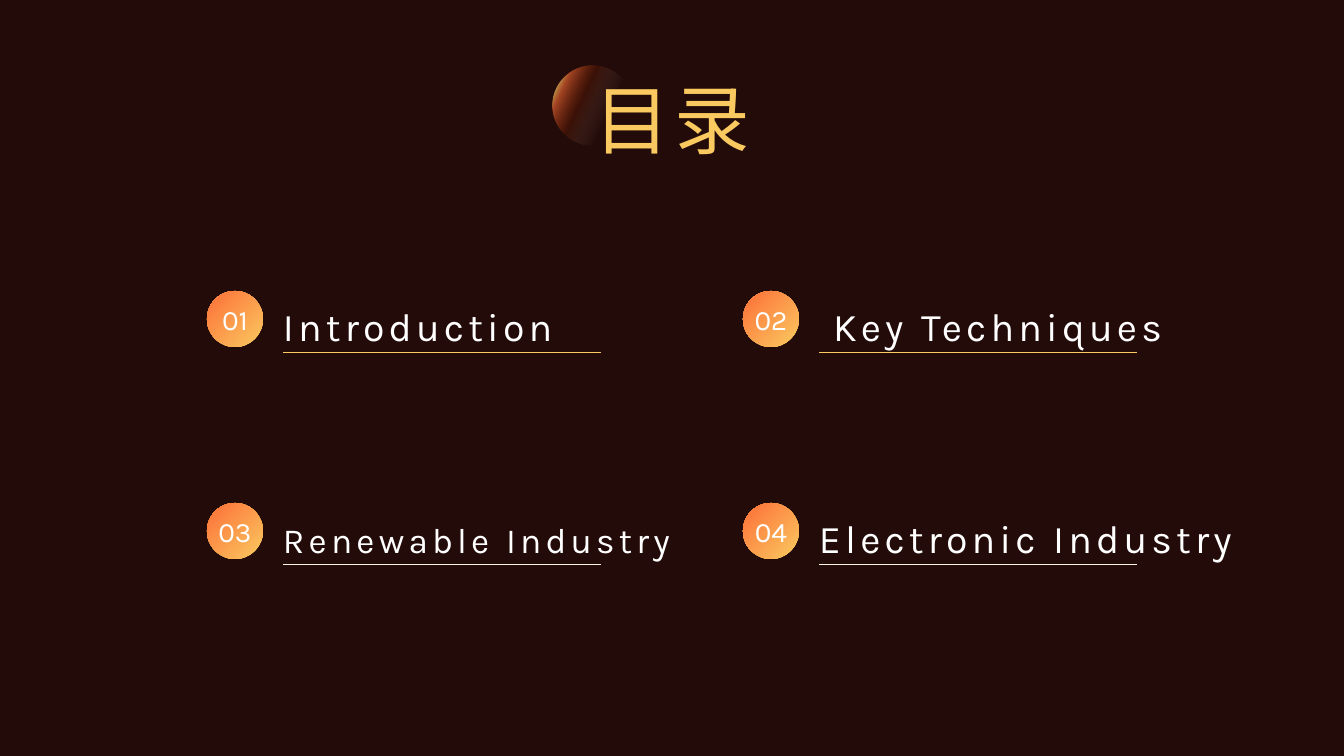
"""Builds a dark contents slide with four numbered topics in a two by two grid."""
from dataclasses import dataclass

from lxml import etree
from pptx import Presentation
from pptx.dml.color import RGBColor
from pptx.enum.shapes import MSO_CONNECTOR, MSO_SHAPE
from pptx.enum.text import MSO_ANCHOR, PP_ALIGN
from pptx.oxml.ns import qn
from pptx.util import Emu, Pt

OVAL = MSO_SHAPE.OVAL
STRAIGHT = MSO_CONNECTOR.STRAIGHT
MIDDLE, BOTTOM = MSO_ANCHOR.MIDDLE, MSO_ANCHOR.BOTTOM
LEFT, CENTER = PP_ALIGN.LEFT, PP_ALIGN.CENTER

DARK = RGBColor(0x23, 0x0B, 0x09)
GOLD = RGBColor(0xFA, 0xCA, 0x60)
ORANGE = RGBColor(0xFD, 0x6E, 0x38)
RUST = RGBColor(0x99, 0x2B, 0x02)
CREAM = RGBColor(0xFE, 0xF4, 0xDF)
WHITE = RGBColor(0xFF, 0xFF, 0xFF)

FONT = "Karla"
WIDE, HIGH = 1344, 756
SCALE = 12192000 / WIDE
COL_STEP, ROW_STEP = 536, 212


@dataclass(frozen=True)
class Stop:
    """One colour of a gradient, with position and opacity in percent."""
    pos: int
    color: RGBColor
    alpha: int = 100


@dataclass(frozen=True)
class Blend:
    """A linear gradient with a clockwise angle in degrees."""
    angle: int
    stops: tuple[Stop, ...]


@dataclass(frozen=True)
class Topic:
    """One entry of the contents grid."""
    label: str
    width: int
    size: float = 28
    indent: int = 0


FIRE = (Stop(0, GOLD), Stop(100, ORANGE))
TITLE = Blend(0, FIRE)
BADGE = Blend(225, FIRE)
LABEL = Blend(270, (Stop(0, WHITE), Stop(90, GOLD)))
MOON = Blend(25, (Stop(34, CREAM, 0), Stop(61, RUST, 20), Stop(82, ORANGE, 60),
                  Stop(88, GOLD, 70), Stop(100, GOLD, 70)))
RULES = (TITLE, Blend(0, (Stop(0, CREAM), Stop(100, ORANGE))))

TOPICS = (
    Topic("Introduction", 347),
    Topic("Key Techniques", 436, indent=14),
    Topic("Renewable Industry", 460, size=25.2),
    Topic("Electronic Industry", 504),
)


def px(count: int) -> Emu:
    """Turn whole pixels into EMU."""
    return Emu(round(count * SCALE))


def shade(fill, owner, blend: Blend) -> None:
    """Give a fill the gradient, writing its parts under the owner element."""
    fill.gradient()
    grad = owner.find(qn("a:gradFill"))
    for old in list(grad):
        grad.remove(old)
    stops = etree.SubElement(grad, qn("a:gsLst"))
    for stop in blend.stops:
        node = etree.SubElement(stops, qn("a:gs"), pos=str(stop.pos * 1000))
        color = etree.SubElement(node, qn("a:srgbClr"), val=str(stop.color))
        if stop.alpha < 100:
            etree.SubElement(color, qn("a:alpha"), val=str(stop.alpha * 1000))
    etree.SubElement(grad, qn("a:lin"), ang=str(blend.angle * 60000), scaled="0")


def write(shape, text: str, *, size: float, blend: Blend | None = None,
          space: int = 0, align=LEFT, anchor=MIDDLE, wrap: bool = True,
          indent: int = 0) -> None:
    """Put one formatted line of text into a shape."""
    frame = shape.text_frame
    frame.margin_left = px(indent)
    frame.margin_top = frame.margin_right = frame.margin_bottom = 0
    frame.word_wrap = wrap
    frame.vertical_anchor = anchor
    line = frame.paragraphs[0]
    line.alignment = align
    run = line.add_run()
    run.text = text
    run.font.name = FONT
    run.font.size = Pt(size)
    props = run._r.get_or_add_rPr()
    if space:
        props.set("spc", str(space * 100))
    if blend:
        shade(run.font.fill, props, blend)
    else:
        run.font.color.rgb = WHITE


def disc(slide, left: int, top: int, size: int, blend: Blend):
    """Draw a circle with a gradient and no outline."""
    shape = slide.shapes.add_shape(OVAL, px(left), px(top), px(size), px(size))
    shape.shadow.inherit = False
    shape.line.fill.background()
    shade(shape.fill, shape._element.spPr, blend)
    return shape


def box(slide, left: int, top: int, width: int, height: int):
    """Add an empty text box."""
    return slide.shapes.add_textbox(px(left), px(top), px(width), px(height))


def rule(slide, left: int, top: int, width: int, blend: Blend) -> None:
    """Draw a thin level line."""
    line = slide.shapes.add_connector(
        STRAIGHT, px(left), px(top), px(left + width), px(top))
    line.line.width = Pt(0.5)
    props = line._element.spPr
    shade(line.line.fill, props.find(qn("a:ln")), blend)
    etree.SubElement(props, qn("a:effectLst"))


def entry(slide, index: int, topic: Topic) -> None:
    """Draw the badge, label and rule of one topic."""
    row, col = divmod(index, 2)
    left, top = 207 + col * COL_STEP, 291 + row * ROW_STEP
    badge = disc(slide, left, top, 56, BADGE)
    write(badge, f"{index + 1:02}", size=20, align=CENTER, wrap=False)
    label = box(slide, left + 76, top - 61, topic.width, 119)
    write(label, topic.label, size=topic.size, blend=LABEL, space=3,
          anchor=BOTTOM, indent=topic.indent)
    rule(slide, left + 76, top + 61, 318, RULES[row])


def main() -> None:
    """Build and save the slide."""
    deck = Presentation()
    deck.slide_width, deck.slide_height = px(WIDE), px(HIGH)
    slide = deck.slides.add_slide(deck.slide_layouts[6])
    back = slide.background.fill
    back.solid()
    back.fore_color.rgb = DARK

    moon = disc(slide, 553, 66, 80, MOON)
    frame = moon._element.spPr.find(qn("a:xfrm"))
    frame.set("flipH", "1")
    frame.set("flipV", "1")
    title = box(slide, 559, 65, 226, 106)
    write(title, "目录", size=54, blend=TITLE, space=3, align=CENTER)

    for index, topic in enumerate(TOPICS):
        entry(slide, index, topic)
    deck.save("out.pptx")


if __name__ == "__main__":
    main()
